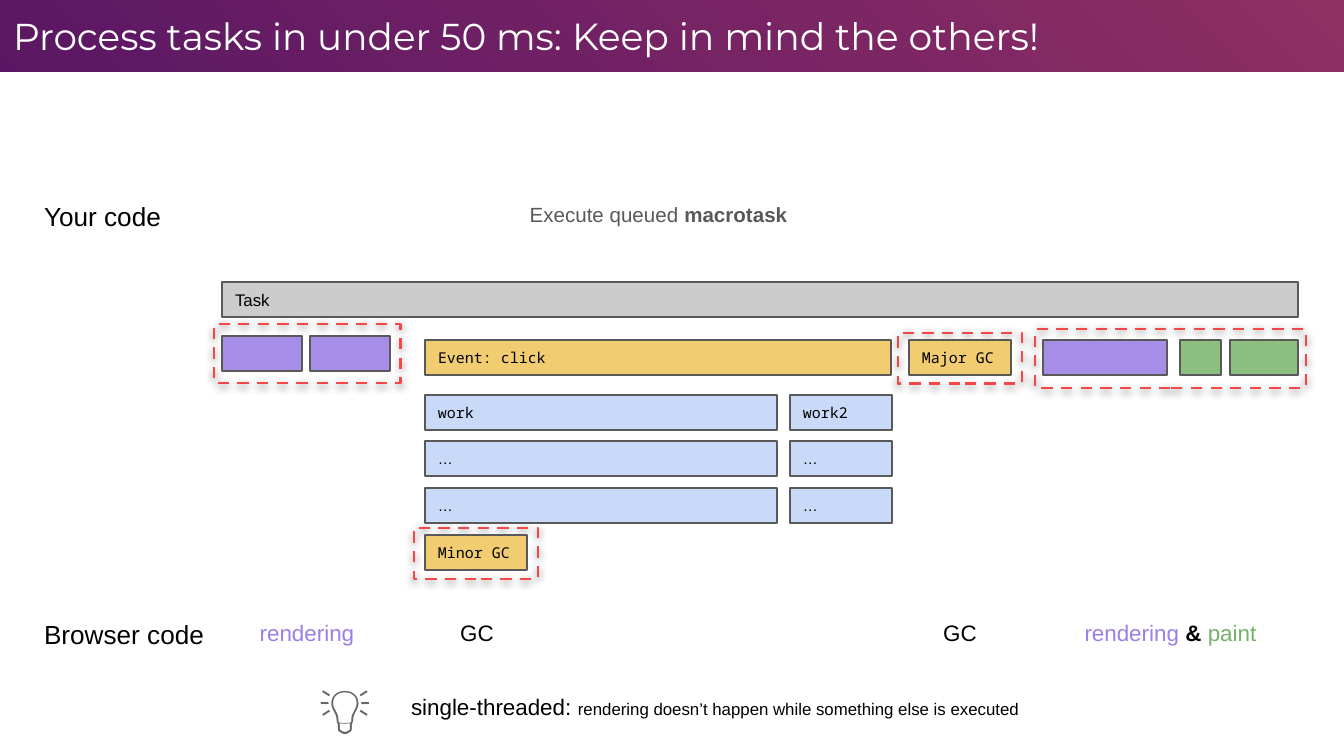
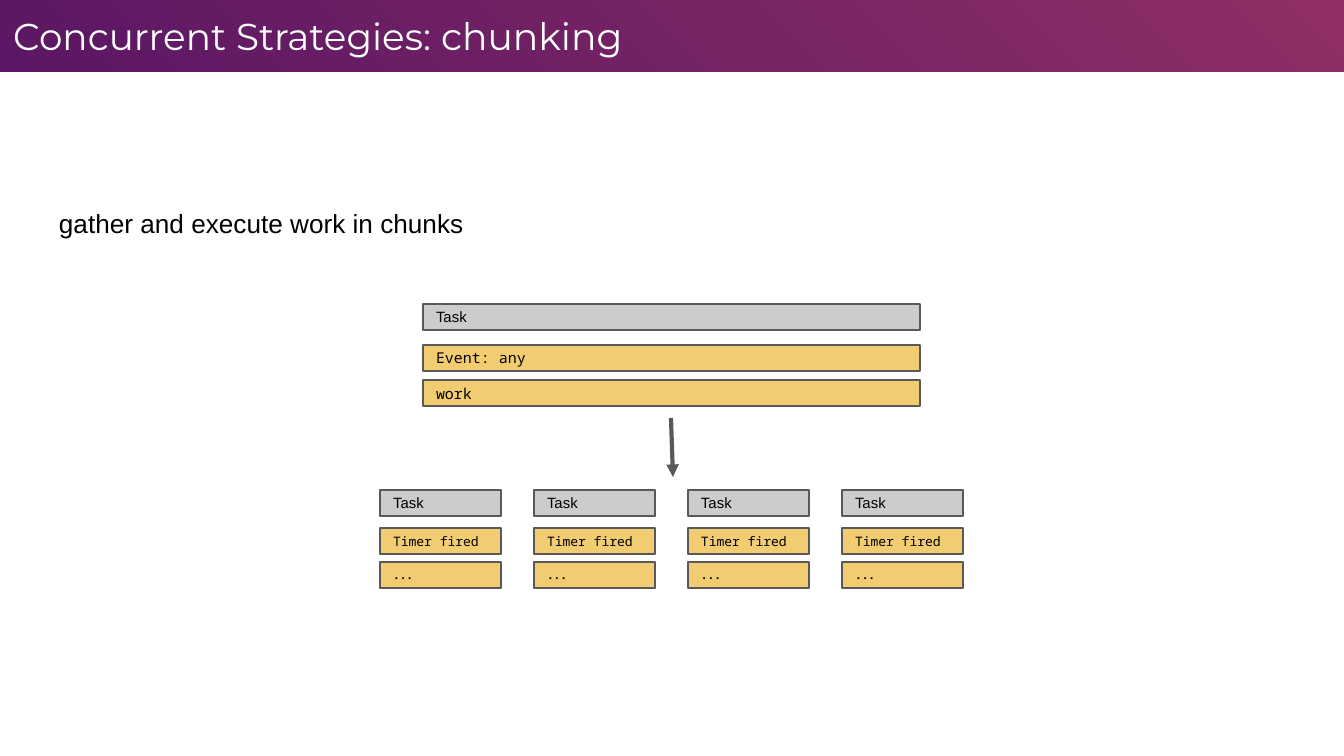
from lxml.etree import SubElement
from pptx import Presentation
from pptx.dml.color import RGBColor
from pptx.enum.dml import MSO_LINE
from pptx.enum.shapes import MSO_CONNECTOR, MSO_SHAPE
from pptx.enum.text import MSO_ANCHOR, MSO_AUTO_SIZE, PP_ALIGN
from pptx.oxml import parse_xml
from pptx.oxml.ns import qn
from pptx.util import Emu, Pt

SCALE = 914400 / 134.4
WIDTH, HEIGHT, BAND, INSET = 1344, 756, 72, 13

COLORS = {
    "white": "FFFFFF", "black": "000000", "grey": "595959", "bulb": "666666",
    "task": "CCCCCC", "event": "EFC457", "work": "C9DAF8",
    "render": "9B7FE6", "paint": "74B266", "frame": "F44747",
}
OPACITY = {"event": 85, "render": 89, "paint": 82}
BACKDROP = [(0, "F35C65"), (0, "8F2F64"), (64, "5D1864"), (100, "2B0163")]
SANS, MONO, TITLE_FONT, BULB_FONT = "Arial", "Noto Sans Mono", "Montserrat", "Karla"
LEFT, CENTER = PP_ALIGN.LEFT, PP_ALIGN.CENTER

TASK_TITLE = ("Process tasks in under 50 ms: ", "Keep in mind the others!")
CHUNK_TITLE = ("Concurrent Strategies: ", "chunking")

BAR_H, ROW_TOP = 35, 340
TASK_BARS = [
    ("task", (222, 282, 1076, BAR_H), ("Task", SANS, 9)),
    ("render", (222, 336, 80, BAR_H), None),
    ("render", (310, 336, 80, BAR_H), None),
    ("event", (425, ROW_TOP, 466, BAR_H), ("Event: click", MONO, 8)),
    ("event", (909, ROW_TOP, 102, BAR_H), ("Major GC", MONO, 8)),
    ("render", (1043, ROW_TOP, 124, BAR_H), None),
    ("paint", (1180, ROW_TOP, 41, BAR_H), None),
    ("paint", (1230, ROW_TOP, 68, BAR_H), None),
    ("event", (425, 535, 102, BAR_H), ("Minor GC", MONO, 8)),
]
WORK_COLUMNS = [(425, 352, "work"), (790, 102, "work2")]
WORK_TOP, WORK_ROWS, MINOR_GC_TOP = 395, 3, 535
BROWSER_FRAMES = [(1035, 329, 271, 59), (214, 324, 187, 59),
                  (414, 528, 124, 51), (898, 333, 124, 51)]

TASK_LABELS = [
    ((31, 187, 190, 59), LEFT, [("Your code", SANS, 14, "black", False)]),
    ((31, 605, 190, 59), LEFT, [("Browser code", SANS, 14, "black", False)]),
    ((477, 190, 363, 52), CENTER, [("Execute queued ", SANS, 11, "grey", False),
                                   ("macrotask", SANS, 11, "grey", True)]),
    ((192, 606, 230, 54), CENTER, [("rendering", SANS, 12, "render", False)]),
    ((434, 606, 86, 54), CENTER, [("GC", SANS, 12, "black", False)]),
    ((917, 606, 86, 54), CENTER, [("GC", SANS, 12, "black", False)]),
    ((1005, 606, 331, 54), CENTER, [("rendering", SANS, 12, "render", False),
                                    (" & ", SANS, 12, "black", True),
                                    ("paint", SANS, 12, "paint", False)]),
    ((292, 663, 106, 89), CENTER, [("💡", BULB_FONT, 27, "bulb", True)]),
    ((398, 680, 698, 54), LEFT, [
        ("single-threaded: ", SANS, 12, "black", False),
        ("rendering doesn’t happen while something else is executed",
         SANS, 9, "black", False)]),
]

CHUNK_BAR_H = 26
LONG_TASK = [("task", 304, ("Task", SANS, 8)),
             ("event", 345, ("Event: any", MONO, 8)),
             ("event", 380, ("work", MONO, 8))]
CHUNK = [("task", 490, ("Task", SANS, 8)),
         ("event", 528, ("Timer fired", MONO, 7)),
         ("event", 562, ("...", MONO, 6, True))]
CHUNK_COUNT, CHUNK_LEFT, CHUNK_W, CHUNK_PITCH = 4, 380, 121, 154
CHUNK_LABELS = [((46, 194, 512, 59), LEFT,
                 [("gather and execute work in chunks", SANS, 14, "black", False)])]
ARROW = (671, 418, 673, 477)


def px(*values):
    return [Emu(round(value * SCALE)) for value in values]


def rgb(name):
    return RGBColor.from_string(COLORS[name])


def add_run(para, text, font, size, color="black", bold=False):
    span = para.add_run()
    span.text = text
    span.font.name, span.font.size, span.font.bold = font, Pt(size), bold
    span.font.color.rgb = rgb(color)


def set_insets(frame):
    (inset,) = px(INSET)
    frame.margin_left = frame.margin_right = inset
    frame.margin_top = frame.margin_bottom = inset
    frame.word_wrap = True


def add_bar(shapes, color, at, label=None):
    bar = shapes.add_shape(MSO_SHAPE.RECTANGLE, *px(*at))
    bar.shadow.inherit = False
    bar.fill.solid()
    bar.fill.fore_color.rgb = rgb(color)
    if color in OPACITY:
        tint = bar.fill._xPr.find(f"{qn('a:solidFill')}/{qn('a:srgbClr')}")
        SubElement(tint, qn("a:alpha"), val=str(OPACITY[color] * 1000))
    bar.line.color.rgb = rgb("grey")
    bar.line.width = Pt(0.75)
    if label:
        frame = bar.text_frame
        set_insets(frame)
        frame.vertical_anchor = MSO_ANCHOR.MIDDLE
        para = frame.paragraphs[0]
        para.alignment = LEFT
        text, font, size, *bold = label
        add_run(para, text, font, size, bold=bool(bold))


def add_frame(page, at):
    frame = page.shapes.add_shape(MSO_SHAPE.RECTANGLE, *px(*at))
    frame.shadow.inherit = False
    frame.fill.background()
    frame.line.color.rgb = rgb("frame")
    frame.line.width = Pt(1.5)
    frame.line.dash_style = MSO_LINE.DASH
    effects = frame.element.spPr.find(qn("a:effectLst"))
    shadow = SubElement(effects, qn("a:outerShdw"), blurRad=str(Pt(4.5)),
                        dist=str(Pt(1.5)), dir="5400000", algn="bl", rotWithShape="0")
    tint = SubElement(shadow, qn("a:srgbClr"), val=COLORS["black"])
    SubElement(tint, qn("a:alpha"), val="50000")


def add_labels(page, labels):
    for at, align, runs in labels:
        box = page.shapes.add_textbox(*px(*at))
        set_insets(box.text_frame)
        box.text_frame.auto_size = MSO_AUTO_SIZE.SHAPE_TO_FIT_TEXT
        para = box.text_frame.paragraphs[0]
        para.alignment = align
        for run in runs:
            add_run(para, *run)


def add_arrow(page, ends):
    arrow = page.shapes.add_connector(MSO_CONNECTOR.STRAIGHT, *px(*ends))
    arrow.line.color.rgb = rgb("grey")
    arrow.line.width = Pt(2.25)
    SubElement(arrow.line._get_or_add_ln(), qn("a:tailEnd"), type="triangle")
    SubElement(arrow.element.spPr, qn("a:effectLst"))


def set_backdrop(master):
    master.background.fill.gradient()
    plain = next(master.element.iter(qn("a:gradFill")))
    stops = "".join(f'<a:gs pos="{pos * 1000}"><a:srgbClr val="{color}"/></a:gs>'
                    for pos, color in BACKDROP)
    radial = parse_xml(
        '<a:gradFill xmlns:a="http://schemas.openxmlformats.org/drawingml/2006/main">'
        f'<a:gsLst>{stops}</a:gsLst><a:path path="circle">'
        '<a:fillToRect l="100000" b="100000"/></a:path><a:tileRect/></a:gradFill>')
    plain.getparent().replace(plain, radial)


def add_page(deck, title_parts):
    page = deck.slides.add_slide(deck.slide_layouts[5])
    body = page.shapes.add_shape(MSO_SHAPE.RECTANGLE,
                                 *px(0, BAND, WIDTH, HEIGHT - BAND))
    body.shadow.inherit = False
    body.fill.solid()
    body.fill.fore_color.rgb = rgb("white")
    body.line.fill.background()
    title = page.shapes.title
    title.left, title.top, title.width, title.height = px(0, 0, 1211, BAND)
    frame = title.text_frame
    set_insets(frame)
    frame.auto_size = MSO_AUTO_SIZE.NONE
    frame.vertical_anchor = MSO_ANCHOR.TOP
    para = frame.paragraphs[0]
    para.alignment = LEFT
    for text, size in zip(title_parts, (20, 20.2)):
        add_run(para, text, TITLE_FONT, size, "white")
    return page


def build_task_page(deck):
    page = add_page(deck, TASK_TITLE)
    for at in BROWSER_FRAMES:
        add_frame(page, at)
    for bar in TASK_BARS:
        add_bar(page.shapes, *bar)
    for row in range(WORK_ROWS):
        top = WORK_TOP + (MINOR_GC_TOP - WORK_TOP) * row // WORK_ROWS
        for left, width, name in WORK_COLUMNS:
            label = ("…", SANS, 8) if row else (name, MONO, 8)
            add_bar(page.shapes, "work", (left, top, width, BAR_H), label)
    add_labels(page, TASK_LABELS)


def build_chunk_page(deck):
    page = add_page(deck, CHUNK_TITLE)
    for color, top, label in LONG_TASK:
        add_bar(page.shapes, color, (423, top, 497, CHUNK_BAR_H), label)
    for index in range(CHUNK_COUNT):
        group = page.shapes.add_group_shape()
        left = CHUNK_LEFT + index * CHUNK_PITCH
        for color, top, label in CHUNK:
            add_bar(group.shapes, color, (left, top, CHUNK_W, CHUNK_BAR_H), label)
    add_labels(page, CHUNK_LABELS)
    add_arrow(page, ARROW)


def main():
    deck = Presentation()
    deck.slide_width, deck.slide_height = px(WIDTH, HEIGHT)
    set_backdrop(deck.slide_master)
    build_task_page(deck)
    build_chunk_page(deck)
    deck.save("out.pptx")


if __name__ == "__main__":
    main()
